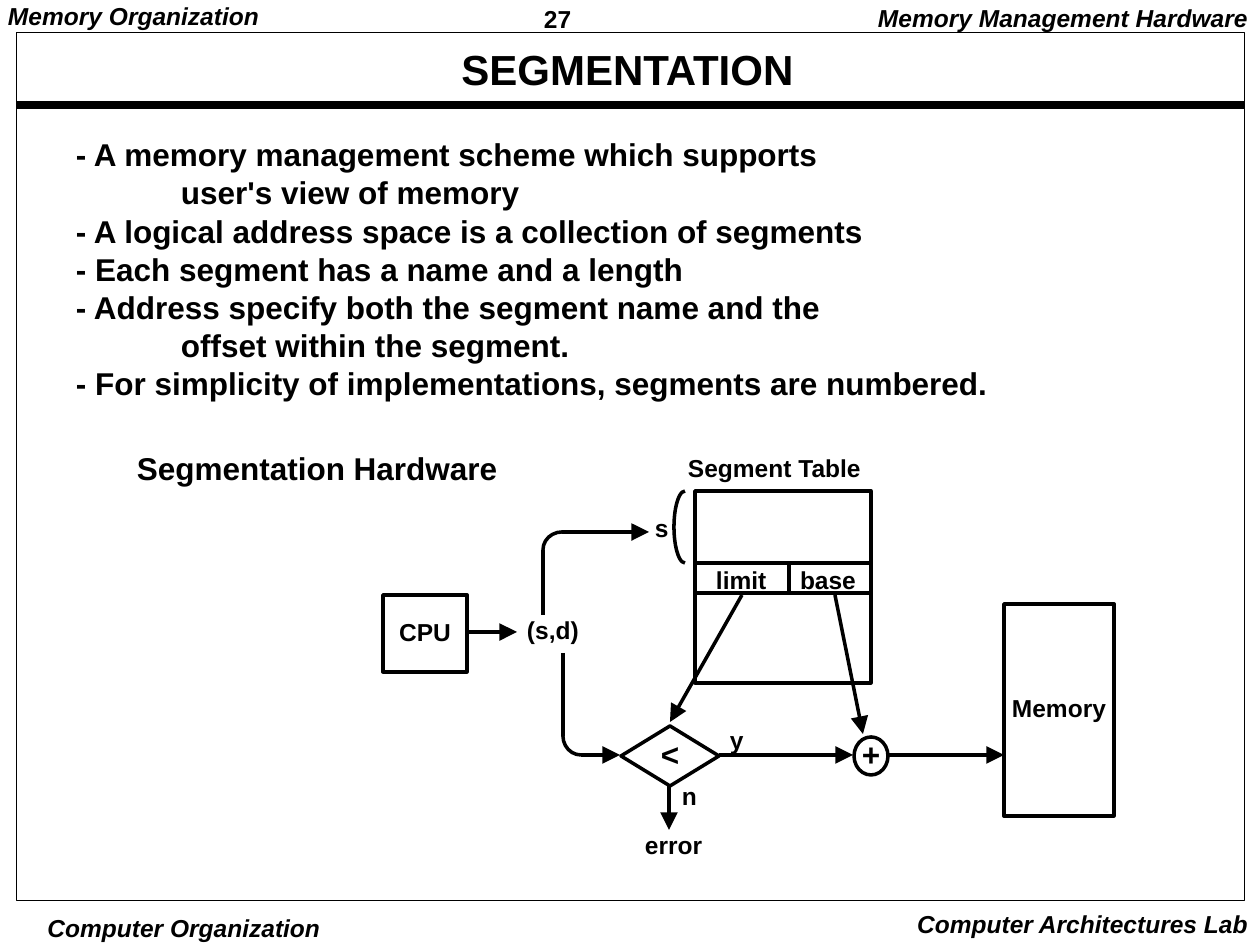
from lxml.etree import SubElement
from pptx import Presentation
from pptx.dml.color import RGBColor
from pptx.enum.shapes import MSO_CONNECTOR, MSO_SHAPE
from pptx.enum.text import MSO_ANCHOR, MSO_AUTO_SIZE, PP_ALIGN
from pptx.oxml.ns import qn
from pptx.util import Pt

EMU_PER_PX = 914400 / 126
COLORS = {"ink": "000000", "paper": "FFFFFF"}
FONT = "Arial"
STROKE = 2


def px(length):
    return round(length * EMU_PER_PX)


def rgb(name):
    return RGBColor.from_string(COLORS[name])


def set_frame(frame, insets, wrap=False, anchor=MSO_ANCHOR.TOP):
    frame.margin_left = frame.margin_right = px(insets[0])
    frame.margin_top = frame.margin_bottom = px(insets[1])
    frame.word_wrap = wrap
    frame.auto_size = MSO_AUTO_SIZE.NONE
    frame.vertical_anchor = anchor


def add_run(paragraph, text, size, italic=False, align=PP_ALIGN.LEFT, spacing=0.9):
    paragraph.alignment = align
    paragraph.line_spacing = spacing
    run = paragraph.add_run()
    run.text = text
    run.font.name = FONT
    run.font.size = Pt(size)
    run.font.bold = True
    run.font.italic = italic
    run.font.color.rgb = rgb("ink")


def add_label(slide, box, text, size=14, insets=(13, 6), **style):
    label = slide.shapes.add_textbox(*map(px, box))
    set_frame(label.text_frame, insets)
    add_run(label.text_frame.paragraphs[0], text, size, **style)


def add_outline(slide, kind, box, fill=None, width=STROKE):
    shape = slide.shapes.add_shape(kind, *map(px, box))
    shape.shadow.inherit = False
    if fill:
        shape.fill.solid()
        shape.fill.fore_color.rgb = rgb(fill)
    else:
        shape.fill.background()
    shape.line.color.rgb = rgb("ink")
    shape.line.width = Pt(width)
    return shape


def add_node(slide, kind, box, text, size=14):
    node = add_outline(slide, kind, box, "paper")
    set_frame(node.text_frame, (0, 0), anchor=MSO_ANCHOR.MIDDLE)
    add_run(node.text_frame.paragraphs[0], text, size, align=PP_ALIGN.CENTER)


def add_arc(slide, center, radii, start, end):
    """Draw part of an ellipse, clockwise between two angles in degrees."""
    (x, y), (rx, ry) = center, radii
    arc = add_outline(slide, MSO_SHAPE.ARC, (x - rx, y - ry, 2 * rx, 2 * ry))
    arc.adjustments[0] = start * 0.6
    arc.adjustments[1] = end * 0.6


def add_line(slide, start, end, width=STROKE, arrow=False):
    line = slide.shapes.add_connector(
        MSO_CONNECTOR.STRAIGHT, *map(px, (*start, *end)))
    line.line.color.rgb = rgb("ink")
    line.line.width = Pt(width)
    if arrow:
        SubElement(line.line._get_or_add_ln(), qn("a:tailEnd"),
                   type="triangle", w="lg", len="lg")
    SubElement(line._element.spPr, qn("a:effectLst"))


def add_page_frame(slide, box):
    x, y, w, h = box
    add_label(slide, (x + 535, y, 136, 37), "27", insets=(9, 4), spacing=1.01)
    add_label(slide, (x - 1, y, 268, 34), "Memory Organization",
              insets=(9, 4), italic=True)
    add_label(slide, (x + w - 394, y, 395, 39), "Memory Management Hardware",
              italic=True, align=PP_ALIGN.RIGHT)
    add_label(slide, (x + 44, y + h - 33, 280, 33), "Computer Organization",
              insets=(4, 1), italic=True, align=PP_ALIGN.CENTER, spacing=1.0)
    add_label(slide, (x + w - 355, y + h - 42, 356, 42), "Computer Architectures Lab",
              italic=True, align=PP_ALIGN.RIGHT, spacing=1.0)
    add_line(slide, (x + 16, y + 105), (x + w - 16, y + 105), width=4.5)
    add_outline(slide, MSO_SHAPE.RECTANGLE, (x + 16, y + 33, w - 32, h - 77), width=0.5)


def add_title(slide, box, text):
    title = slide.shapes.title
    title.left, title.top, title.width, title.height = map(px, box)
    set_frame(title.text_frame, (9, 4), wrap=True, anchor=MSO_ANCHOR.MIDDLE)
    add_run(title.text_frame.paragraphs[0], text, 24, align=PP_ALIGN.CENTER)


def add_points(slide, box):
    points = [
        ("- A memory management scheme which supports", 0),
        ("user's view of memory", 105),
        ("- A logical address space is a collection of segments", 0),
        ("- Each segment has a name and a length", 0),
        ("- Address specify both the segment name and the", 0),
        ("offset within the segment.", 105),
        ("- For simplicity of implementations, segments are numbered.", 0),
    ]
    frame = slide.shapes.add_textbox(*map(px, box)).text_frame
    set_frame(frame, (9, 4))
    for number, (text, indent) in enumerate(points):
        paragraph = frame.add_paragraph() if number else frame.paragraphs[0]
        paragraph._p.get_or_add_pPr().set("marL", str(px(indent)))
        add_run(paragraph, text, 18, spacing=1.01)


def add_segment_table(slide, box):
    x, y, w, h = box
    add_outline(slide, MSO_SHAPE.RECTANGLE, box, "paper")
    for row in (y + 72, y + 102):
        add_line(slide, (x, row), (x + w, row))
    add_line(slide, (x + 94, y + 73), (x + 94, y + 100))
    add_label(slide, (x - 20, y - 41, 200, 39), "Segment Table")
    add_label(slide, (x + 8, y + 71, 76, 39), "limit")
    add_label(slide, (x + 92, y + 71, 81, 39), "base")
    add_arc(slide, (x - 10, y + 36), (11, 36), 90, 270)


def add_hardware_diagram(slide, box):
    left, top = box[:2]

    def at(x, y, *size):
        return (left + x, top + y, *size)

    add_segment_table(slide, at(315, 41, 176, 192))
    add_node(slide, MSO_SHAPE.RECTANGLE, at(3, 145, 84, 77), "CPU")
    add_node(slide, MSO_SHAPE.DIAMOND, at(241, 276, 98, 60), "<", 18)
    add_node(slide, MSO_SHAPE.OVAL, at(474, 287, 34, 38), "+", 18)
    add_node(slide, MSO_SHAPE.RECTANGLE, at(624, 154, 110, 212), "Memory")

    labels = [
        ("(s,d)", 134, 162, 77), ("s", 262, 60, 39), ("y", 337, 272, 39),
        ("n", 289, 328, 40), ("error", 252, 377, 82),
    ]
    for text, x, y, width in labels:
        add_label(slide, at(x, y, width, 39), text)

    add_line(slide, at(163, 165), at(163, 100))
    add_arc(slide, at(182, 100), (19, 18), 180, 270)
    add_line(slide, at(183, 203), at(183, 286))
    add_arc(slide, at(201, 286), (18, 19), 90, 180)

    arrows = [
        ((88, 182), (137, 182)),
        ((182, 82), (269, 82)),
        ((201, 305), (240, 305)),
        ((339, 305), (473, 305)),
        ((509, 305), (624, 305)),
        ((289, 336), (289, 380)),
        ((362, 145), (290, 272)),
        ((455, 145), (483, 284)),
    ]
    for start, end in arrows:
        add_line(slide, at(*start), at(*end), arrow=True)


def main():
    deck = Presentation()
    deck.slide_width, deck.slide_height = px(1260), px(945)
    slide = deck.slides.add_slide(deck.slide_layouts[5])
    add_page_frame(slide, (0, 0, 1260, 945))
    add_title(slide, (55, 40, 1145, 64), "SEGMENTATION")
    add_points(slide, (67, 131, 930, 275))
    add_label(slide, (128, 444, 378, 45), "Segmentation Hardware",
              size=18, insets=(9, 4), spacing=1.02)
    add_hardware_diagram(slide, (380, 450, 740, 420))
    deck.save("out.pptx")


if __name__ == "__main__":
    main()
